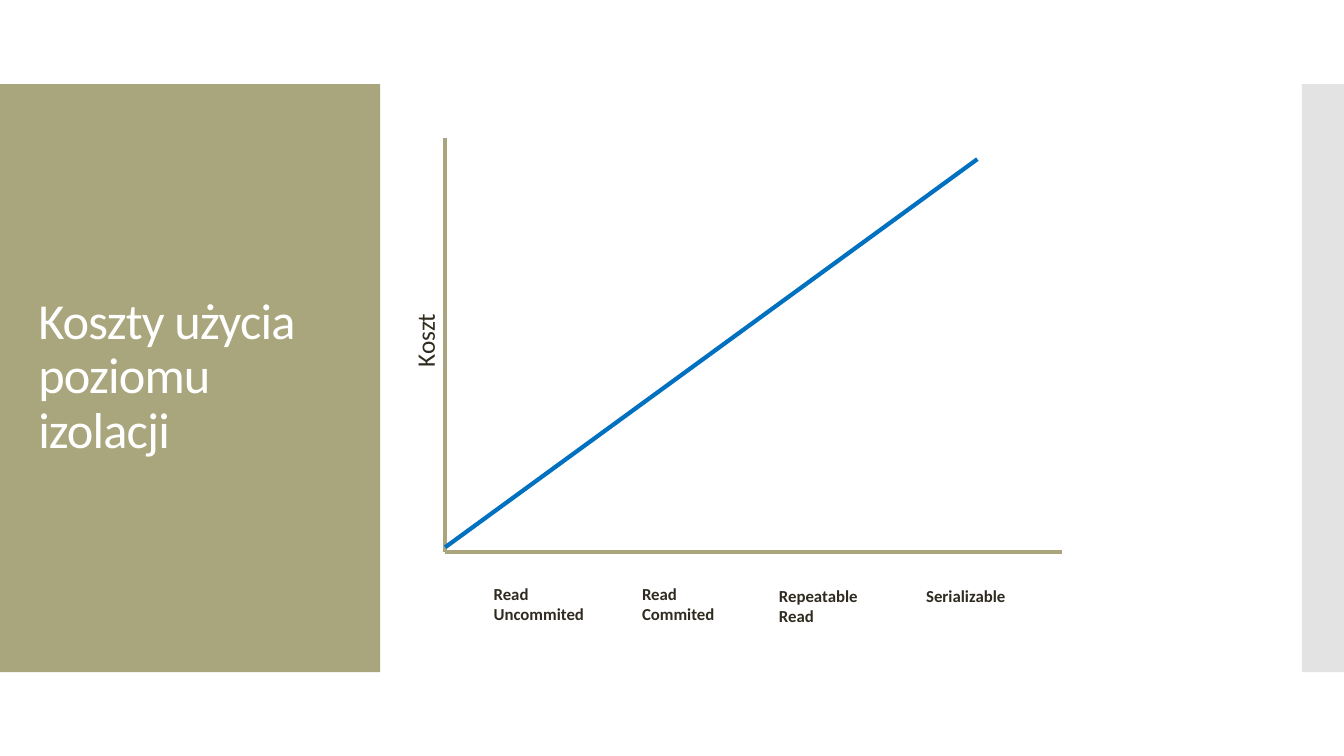
from lxml import etree
from pptx import Presentation, util as u
from pptx.dml.color import RGBColor
from pptx.enum import shapes, text
from pptx.oxml.ns import qn

COLORS = {"olive": "A9A57C", "grey": "C8C8C8", "white": "FFFFFF",
          "ink": "2F2B20", "blue": "0070C0"}
TITLE = "Koszty użycia poziomu izolacji"
TITLE_AREA = (0.71, 3.12, 8.18, 12.78)
PANEL_TOP, PANEL_HEIGHT = 2.12, 14.82
PANELS = [(0, 9.58, "olive", None), (32.81, 1.06, "grey", 50)]
ORIGIN = (11.22, 13.9)
AXES = [((11.22, 3.48), ORIGIN, "olive"), ((26.77, 13.9), ORIGIN, "olive")]
COST_LINE = ((24.63, 4.01), (11.22, 13.79), "blue")
COST_LABEL = ("Koszt", (9.63, 7.92, 2.16, 1.02))
LEVEL_WIDTH = 3.1
LEVELS = [
    ("Read Uncommited", 12.19, 14.58, 1.27),
    ("Read Commited", 15.93, 14.58, 1.27),
    ("Repeatable\nRead", 19.38, 14.63, 1.27),
    ("Serializable", 23.09, 14.63, 0.76),
]


def color(name):
    return RGBColor.from_string(COLORS[name])


def cm(*lengths):
    return [u.Cm(length) for length in lengths]


def write(box, words, ink, **font):
    box.text_frame.word_wrap = True
    box.text_frame.text = words
    for para in box.text_frame.paragraphs:
        para.alignment = text.PP_ALIGN.LEFT
        for span in para.runs:
            span.font.color.rgb = color(ink)
            for name, value in {"name": "Calibri", **font}.items():
                setattr(span.font, name, value)


def add_panel(page, left, width, fill, opacity):
    panel = page.shapes.add_shape(shapes.MSO_SHAPE.RECTANGLE,
                                  *cm(left, PANEL_TOP, width, PANEL_HEIGHT))
    panel.shadow.inherit = False
    panel.fill.solid()
    panel.fill.fore_color.rgb = color(fill)
    panel.line.fill.background()
    if opacity:
        tint = panel.element.spPr.find(".//" + qn("a:srgbClr"))
        etree.SubElement(tint, qn("a:alpha"), val=str(opacity * 1000))


def add_line(page, start, end, stroke):
    line = page.shapes.add_connector(shapes.MSO_CONNECTOR.STRAIGHT,
                                     *cm(*start, *end))
    line.line.color.rgb = color(stroke)
    line.line.width = u.Pt(3)
    etree.SubElement(line.element.spPr, qn("a:effectLst"))


def add_label(page, words, area, size, bold=False):
    box = page.shapes.add_textbox(*cm(*area))
    write(box, words, "ink", size=u.Pt(size), bold=bold)
    box.text_frame.auto_size = text.MSO_AUTO_SIZE.SHAPE_TO_FIT_TEXT
    return box


def place_title(page):
    title = page.shapes.title
    page.shapes.element.append(title.element)
    for name, value in zip(("left", "top", "width", "height"), cm(*TITLE_AREA)):
        setattr(title, name, value)
    write(title, TITLE, "white", size=u.Pt(36))
    title.text_frame.auto_size = text.MSO_AUTO_SIZE.NONE
    title.text_frame.vertical_anchor = text.MSO_ANCHOR.MIDDLE
    para = title.text_frame.paragraphs[0]
    para.line_spacing = 0.9
    para.runs[0].font._element.set("spc", "-60")


def main():
    deck = Presentation()
    deck.slide_width, deck.slide_height = cm(33.87, 19.05)
    page = deck.slides.add_slide(deck.slide_layouts.get_by_name("Title Only"))
    for panel in PANELS:
        add_panel(page, *panel)
    place_title(page)
    for axis in AXES:
        add_line(page, *axis)
    add_label(page, *COST_LABEL, 18).rotation = 270
    for words, left, top, height in LEVELS:
        add_label(page, words, (left, top, LEVEL_WIDTH, height), 12, True)
    add_line(page, *COST_LINE)
    deck.save("out.pptx")


if __name__ == "__main__":
    main()
